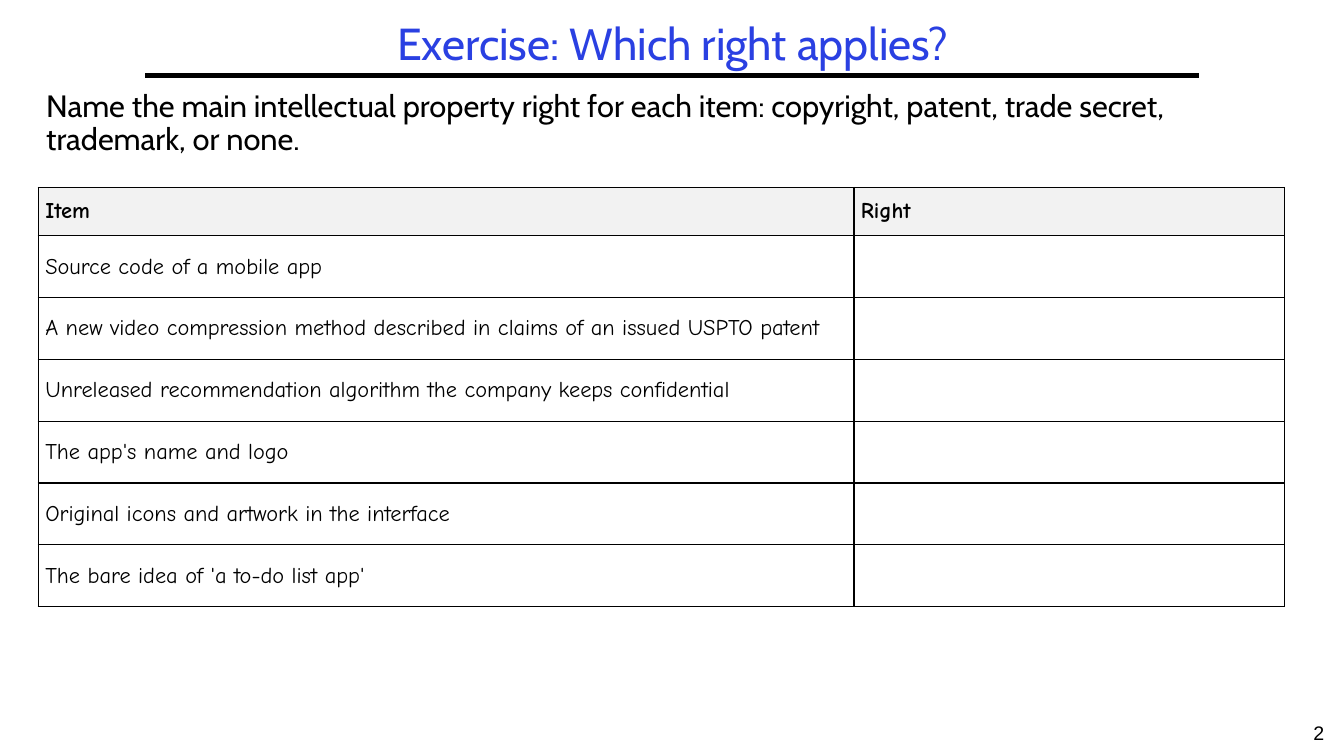
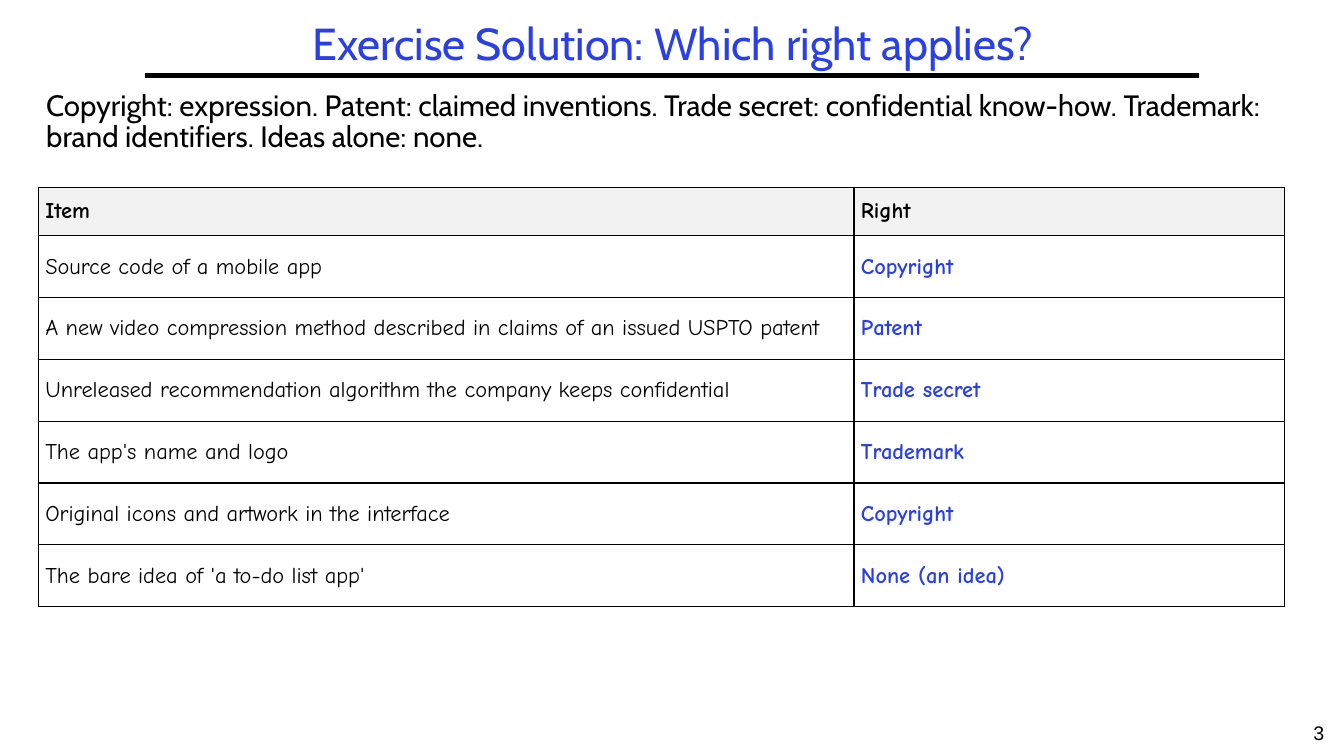
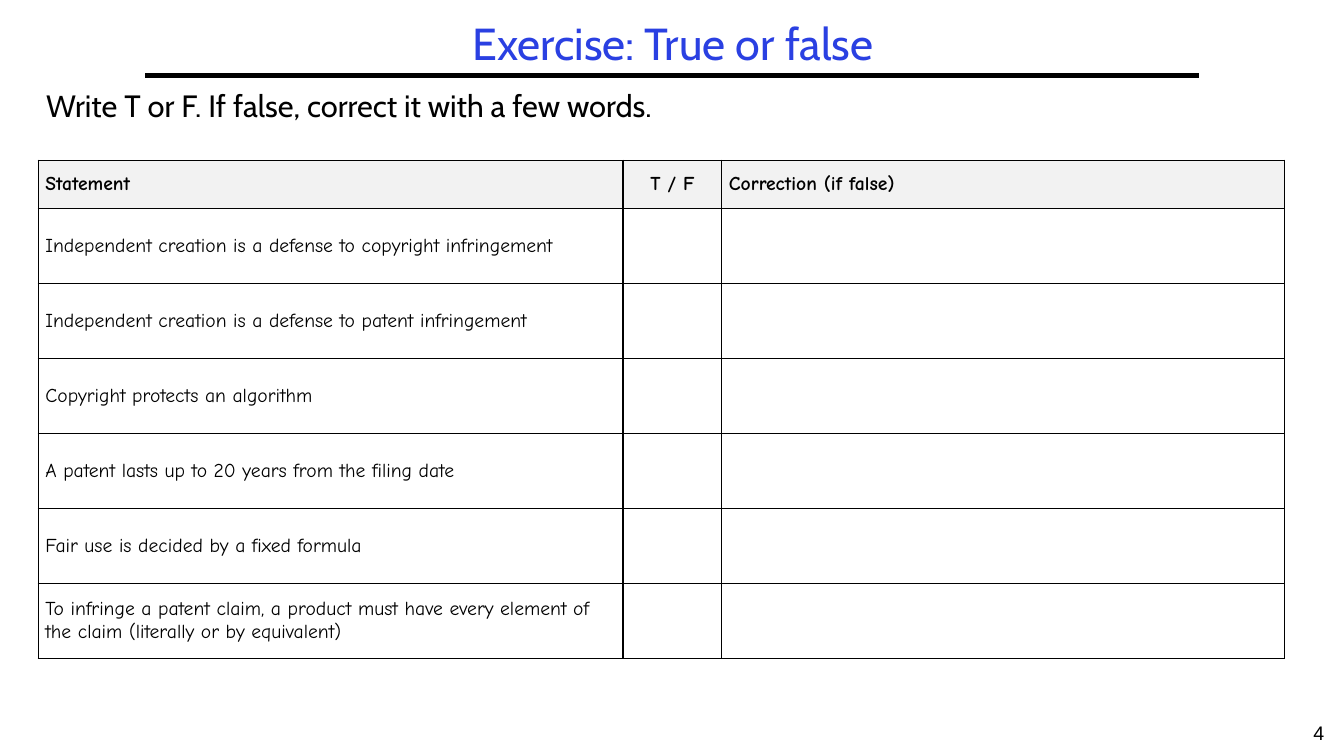
from lxml import etree
from pptx import Presentation
from pptx.dml.color import RGBColor
from pptx.enum.shapes import MSO_CONNECTOR
from pptx.enum.text import MSO_ANCHOR, MSO_AUTO_SIZE, PP_ALIGN
from pptx.oxml.ns import qn
from pptx.util import Inches, Pt

LEFT, CENTER = PP_ALIGN.LEFT, PP_ALIGN.CENTER
MIDDLE, TOP = MSO_ANCHOR.MIDDLE, MSO_ANCHOR.TOP
NO_FIT = MSO_AUTO_SIZE.NONE
STRAIGHT = MSO_CONNECTOR.STRAIGHT

COLORS = {"accent": "2A40E2", "ink": "000000", "header": "F2F2F2", "paper": "FFFFFF"}
HEADING_FONT, TABLE_FONT, NUMBER_FONT = "Cabin", "Comic Neue", "Arial"

SLIDE_WIDTH, SLIDE_HEIGHT = 13.33, 7.5
TITLE_BOX = (1.44, 0.17, 10.47, 0.58)
RULE_LEFT, RULE_RIGHT, RULE_Y = 1.44, 11.89, 0.75
NUMBER_BOX = (SLIDE_WIDTH - 0.5, 7.1, 0.5, 0.4)
PROMPT_LEFT, PROMPT_TOP, PROMPT_WIDTH = 0.36, 0.85, 12.58
TABLE_LEFT, HEADER_HEIGHT = 0.38, 0.48
CELL_MARGIN_X, CELL_MARGIN_Y = 0.07, 0.03
FIRST_NUMBER = 2

RIGHTS = [
    ("Source code of a mobile app", "Copyright"),
    ("A new video compression method described in claims of an issued USPTO patent", "Patent"),
    ("Unreleased recommendation algorithm the company keeps confidential", "Trade secret"),
    ("The app's name and logo", "Trademark"),
    ("Original icons and artwork in the interface", "Copyright"),
    ("The bare idea of 'a to-do list app'", "None (an idea)"),
]
STATEMENTS = [
    "Independent creation is a defense to copyright infringement",
    "Independent creation is a defense to patent infringement",
    "Copyright protects an algorithm",
    "A patent lasts up to 20 years from the filing date",
    "Fair use is decided by a fixed formula",
    "To infringe a patent claim, a product must have every element of the claim "
    "(literally or by equivalent)",
]

RIGHTS_TABLE = {
    "top": 1.86, "height": 4.16, "size": 16,
    "columns": [("Item", 8.09, LEFT), ("Right", 4.27, LEFT)],
}
STATEMENTS_TABLE = {
    "top": 1.59, "height": 4.94, "size": 14,
    "columns": [("Statement", 5.8, LEFT), ("T / F", 0.98, CENTER),
                ("Correction (if false)", 5.58, LEFT)],
}

EXERCISES = [
    {
        "title": "Exercise: Which right applies?",
        "prompt": "Name the main intellectual property right for each item: "
                  "copyright, patent, trade secret, trademark, or none.",
        "prompt_size": 22,
        "table": RIGHTS_TABLE,
        "rows": [(item, "") for item, _ in RIGHTS],
    },
    {
        "title": "Exercise Solution: Which right applies?",
        "prompt": "Copyright: expression. Patent: claimed inventions. "
                  "Trade secret: confidential know-how. "
                  "Trademark: brand identifiers. Ideas alone: none.",
        "prompt_size": 21,
        "table": RIGHTS_TABLE,
        "rows": RIGHTS,
    },
    {
        "title": "Exercise: True or false",
        "prompt": "Write T or F. If false, correct it with a few words.",
        "prompt_size": 22,
        "table": STATEMENTS_TABLE,
        "rows": [(statement, "", "") for statement in STATEMENTS],
    },
]


def rgb(name):
    return RGBColor.from_string(COLORS[name])


def inches(box):
    return [Inches(length) for length in box]


def write(frame, text, font, size, color="ink", bold=False, align=LEFT, spacing=None):
    paragraph = frame.paragraphs[0]
    paragraph.text = text
    paragraph.alignment = align
    paragraph.line_spacing = spacing
    paragraph.font.name = font
    paragraph.font.size = Pt(size)
    paragraph.font.bold = bold
    paragraph.font.color.rgb = rgb(color)


def prepare(frame, anchor=TOP):
    frame.word_wrap = True
    frame.auto_size = NO_FIT
    frame.vertical_anchor = anchor
    return frame


def add_text(slide, box, *style, **options):
    frame = prepare(slide.shapes.add_textbox(*inches(box)).text_frame)
    write(frame, *style, **options)


def add_frame(slide, title, number):
    heading = slide.shapes.title
    heading.left, heading.top, heading.width, heading.height = inches(TITLE_BOX)
    write(prepare(heading.text_frame, MIDDLE), title, HEADING_FONT, 32, "accent",
          align=CENTER, spacing=0.9)
    rule = slide.shapes.add_connector(
        STRAIGHT, *inches((RULE_LEFT, RULE_Y, RULE_RIGHT, RULE_Y)))
    rule.line.color.rgb = rgb("ink")
    rule.line.width = Pt(3)
    etree.SubElement(rule._element.spPr, qn("a:effectLst"))
    add_text(slide, NUMBER_BOX, str(number), NUMBER_FONT, 14, align=CENTER)


def add_borders(cell):
    properties = cell._tc.get_or_add_tcPr()
    for side in ("a:lnL", "a:lnR", "a:lnT", "a:lnB"):
        border = etree.SubElement(properties, qn(side), w=str(Pt(1)))
        fill = etree.SubElement(border, qn("a:solidFill"))
        etree.SubElement(fill, qn("a:srgbClr"), val=COLORS["ink"])


def fill_cell(cell, text, size, align, is_header, is_item):
    add_borders(cell)
    cell.fill.solid()
    cell.fill.fore_color.rgb = rgb("header" if is_header else "paper")
    cell.vertical_anchor = MIDDLE
    cell.margin_left = cell.margin_right = Inches(CELL_MARGIN_X)
    cell.margin_top = cell.margin_bottom = Inches(CELL_MARGIN_Y)
    color = "ink" if is_header or is_item else "accent"
    write(cell.text_frame, text, TABLE_FONT, size, color,
          bold=is_header or not is_item, align=align)


def add_exercise_table(slide, layout, rows):
    headers, widths, alignments = zip(*layout["columns"])
    lines = [headers, *rows]
    box = (TABLE_LEFT, layout["top"], sum(widths), layout["height"])
    table = slide.shapes.add_table(len(lines), len(headers), *inches(box)).table
    table.first_row = table.horz_banding = False
    for column, width in zip(table.columns, widths):
        column.width = Inches(width)
    row_height = (layout["height"] - HEADER_HEIGHT) / len(rows)
    for r, line in enumerate(lines):
        table.rows[r].height = Inches(row_height if r else HEADER_HEIGHT)
        for c, text in enumerate(line):
            fill_cell(table.cell(r, c), text, layout["size"], alignments[c], r == 0, c == 0)


def main():
    prs = Presentation()
    prs.slide_width, prs.slide_height = inches((SLIDE_WIDTH, SLIDE_HEIGHT))
    title_only = prs.slide_layouts.get_by_name("Title Only")
    for number, exercise in enumerate(EXERCISES, FIRST_NUMBER):
        slide = prs.slides.add_slide(title_only)
        layout = exercise["table"]
        add_frame(slide, exercise["title"], number)
        prompt_box = (PROMPT_LEFT, PROMPT_TOP, PROMPT_WIDTH, layout["top"] - PROMPT_TOP)
        add_text(slide, prompt_box, exercise["prompt"], HEADING_FONT,
                 exercise["prompt_size"], spacing=0.9)
        add_exercise_table(slide, layout, exercise["rows"])
    prs.save("out.pptx")


if __name__ == "__main__":
    main()
